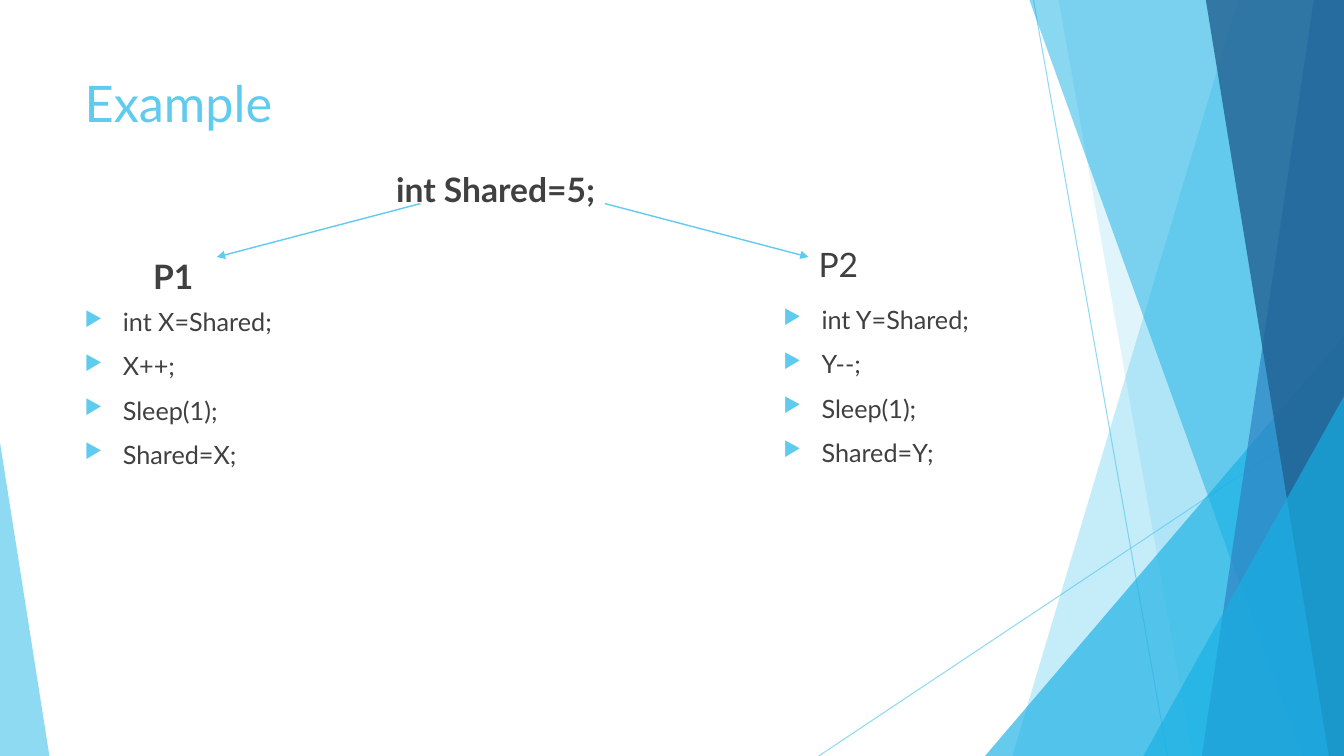
from lxml import etree
from pptx import Presentation
from pptx.dml.color import RGBColor
from pptx.enum.shapes import MSO_CONNECTOR, MSO_SHAPE
from pptx.enum.text import MSO_ANCHOR, MSO_AUTO_SIZE, PP_ALIGN
from pptx.oxml.ns import qn
from pptx.util import Inches, Pt

STRAIGHT = MSO_CONNECTOR.STRAIGHT
TRIANGLE = MSO_SHAPE.ISOSCELES_TRIANGLE
TOP, BOTTOM = MSO_ANCHOR.TOP, MSO_ANCHOR.BOTTOM
LEFT = PP_ALIGN.LEFT
NO_FIT = MSO_AUTO_SIZE.NONE

WIDTH, HEIGHT = 13.33, 7.5
FONT = "Lato"
SKY, CYAN, BLUE, NAVY, INK = "5FCBEF", "17B0E4", "2E83C3", "226292", "404040"

TITLE = ("Example", (0.74, 0.67, 9.4, 1.44))
HEADINGS = [
    ("P1", (1.42, 2.36, 3.9, 0.63), True),
    ("P2", (8.02, 2.24, 4.23, 0.63), False),
    ("int Shared=5;", (3.83, 1.5, 4.58, 0.63), True),
]
PROCESSES = [
    (["int X=Shared;", "X++;", "Sleep(1);", "Shared=X;"], (0.74, 2.99, 4.58, 3.61)),
    (["int Y=Shared;", "Y--;", "Sleep(1);", "Shared=Y;"], (7.67, 2.97, 4.58, 3.61)),
]
ARROWS = [((4.17, 2.02), (2.15, 2.55)), ((6, 2.02), (8.02, 2.55))]
RAYS = [((10.25, 0), (11.58, HEIGHT)), ((WIDTH, 4.03), (8.12, HEIGHT))]
# panel: top-left x, bottom-left x; wedge: left, top, width, apex
DECOR = [
    ("panel", (12.28, 10.04), SKY, 36),
    ("panel", (10.5, 11.83), SKY, 20),
    ("wedge", (9.77, 3.33, 3.56, 1), CYAN, 66),
    ("panel", (10.21, 12.91), CYAN, 50),
    ("panel", (13.03, 11.92), BLUE, 70),
    ("panel", (11.96, 13.18), NAVY, 80),
    ("wedge", (11.34, 3.93, 1.99, 1), CYAN, 66),
    ("wedge", (0, 4.39, 0.49, 0), SKY, 70),
]


def rgb(value):
    return RGBColor.from_string(value)


def child(parent, tag, **attributes):
    return etree.SubElement(parent, qn(tag), attributes)


def set_alpha(element, percent):
    for color in element.spPr.iter(qn("a:srgbClr")):
        child(color, "a:alpha", val=str(percent * 1000))


def add_line(shapes, start, end, weight):
    line = shapes.add_connector(STRAIGHT, *map(Inches, start + end))
    line.line.color.rgb = rgb(SKY)
    line.line.width = Pt(weight)
    child(line._element.spPr, "a:effectLst")
    return line


def add_panel(shapes, top_x, bottom_x):
    outline = shapes.build_freeform(Inches(top_x), 0)
    corners = [(WIDTH, 0), (WIDTH, HEIGHT), (bottom_x, HEIGHT)]
    outline.add_line_segments([tuple(map(Inches, corner)) for corner in corners])
    return outline.convert_to_shape()


def add_wedge(shapes, left, top, width, apex):
    box = (left, top, width, HEIGHT - top)
    wedge = shapes.add_shape(TRIANGLE, *map(Inches, box))
    wedge.adjustments[0] = apex
    return wedge


def write(frame, lines, size, color, anchor, bold=False):
    frame.text = "\n".join(lines)
    frame.word_wrap = True
    frame.auto_size = NO_FIT
    frame.vertical_anchor = anchor
    for paragraph in frame.paragraphs:
        paragraph.alignment = LEFT
        for run in paragraph.runs:
            run.font.name = FONT
            run.font.size = Pt(size)
            run.font.bold = bold
            run.font.color.rgb = rgb(color)


def add_text(shapes, lines, box, size, anchor, bold=False):
    frame = shapes.add_textbox(*map(Inches, box)).text_frame
    write(frame, lines, size, INK, anchor, bold)
    for paragraph in frame.paragraphs:
        paragraph.space_before = Pt(10)
    return frame


def add_bullet(paragraph):
    properties = paragraph._p.get_or_add_pPr()
    indent = Inches(0.38)
    properties.set("marL", str(indent))
    properties.set("indent", str(-indent))
    child(child(properties, "a:buClr"), "a:srgbClr", val=SKY)
    child(properties, "a:buSzPct", val="80000")
    child(properties, "a:buChar", char="▶")


def main():
    deck = Presentation()
    deck.slide_width, deck.slide_height = Inches(WIDTH), Inches(HEIGHT)
    slide = deck.slides.add_slide(deck.slide_layouts[5])
    shapes = slide.shapes

    title_text, title_box = TITLE
    title = shapes.title
    title.left, title.top, title.width, title.height = map(Inches, title_box)
    write(title.text_frame, [title_text], 36, SKY, TOP)

    for start, end in RAYS:
        set_alpha(add_line(shapes, start, end, 0.75)._element, 70)
    builders = {"panel": add_panel, "wedge": add_wedge}
    for kind, geometry, color, opacity in DECOR:
        facet = builders[kind](shapes, *geometry)
        facet.shadow.inherit = False
        facet.fill.solid()
        facet.fill.fore_color.rgb = rgb(color)
        facet.line.fill.background()
        set_alpha(facet._element, opacity)

    for heading, box, bold in HEADINGS:
        add_text(shapes, [heading], box, 24, BOTTOM, bold)
    for statements, box in PROCESSES:
        for paragraph in add_text(shapes, statements, box, 18, TOP).paragraphs:
            add_bullet(paragraph)

    for start, end in ARROWS:
        arrow = add_line(shapes, start, end, 1)
        child(arrow.line._get_or_add_ln(), "a:tailEnd", type="triangle")

    deck.save("out.pptx")


if __name__ == "__main__":
    main()
